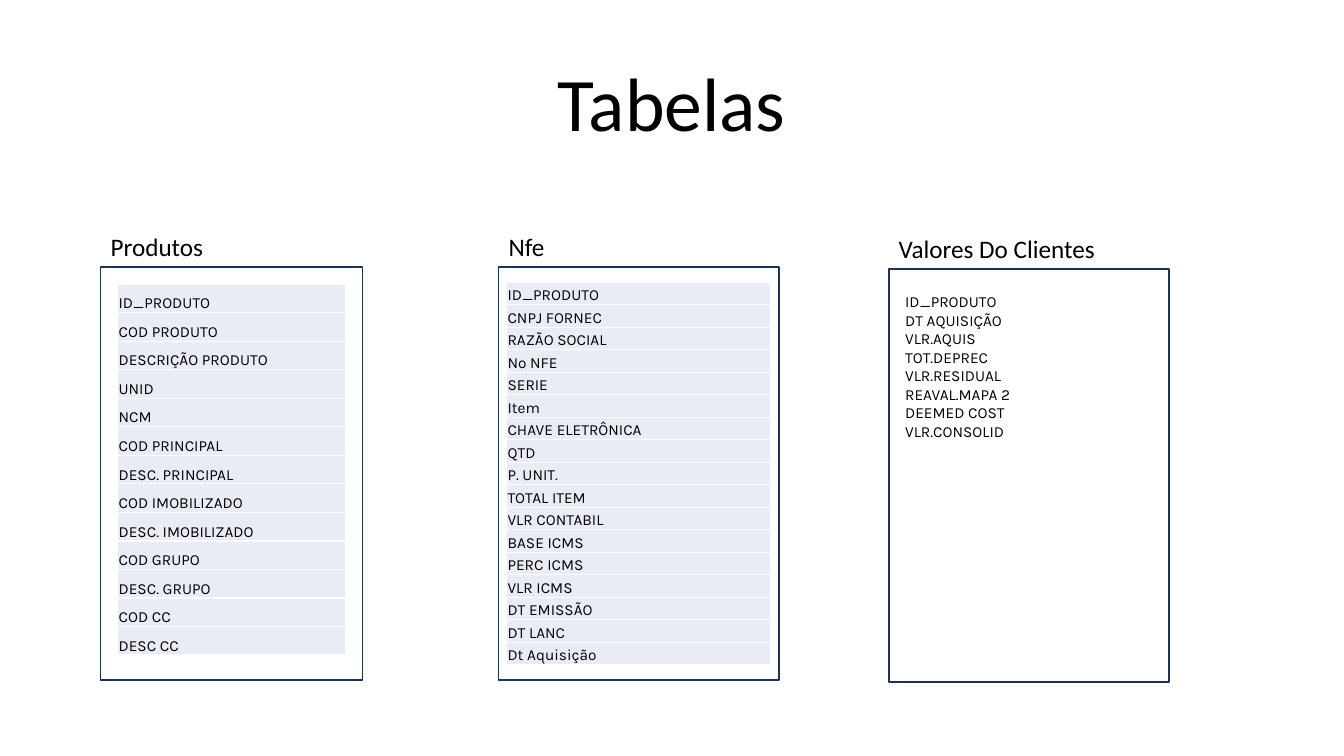
from dataclasses import dataclass

from lxml import etree
from pptx import Presentation
from pptx.dml.color import RGBColor
from pptx.enum.text import MSO_ANCHOR, PP_ALIGN
from pptx.enum.shapes import MSO_SHAPE
from pptx.oxml.ns import qn
from pptx.util import Cm, Pt

RECT = MSO_SHAPE.RECTANGLE
CENTER = PP_ALIGN.CENTER
TOP, BOTTOM = MSO_ANCHOR.TOP, MSO_ANCHOR.BOTTOM


@dataclass(frozen=True)
class Theme:
    text: str = "000000"
    frame: str = "1E3256"
    row: str = "E9EBF5"
    border: str = "FFFFFF"
    heading_font: str = "Calibri"
    field_font: str = "Karla"
    title_size: int = 54
    caption_size: int = 18
    field_size: int = 11
    line: int = 1


THEME = Theme()
CAPTION_HEIGHT = 1.02
CAPTION_WIDTH = 5.77

PRODUCT_FIELDS = [
    "ID_PRODUTO", "COD PRODUTO", "DESCRIÇÃO PRODUTO", "UNID", "NCM",
    "COD PRINCIPAL", "DESC. PRINCIPAL", "COD IMOBILIZADO",
    "DESC. IMOBILIZADO", "COD GRUPO", "DESC. GRUPO", "COD CC", "DESC CC",
]
INVOICE_FIELDS = [
    "ID_PRODUTO", "CNPJ FORNEC", "RAZÃO SOCIAL", "Nº NFE", "SERIE", "Item",
    "CHAVE ELETRÔNICA", "QTD", "P. UNIT.", "TOTAL ITEM", "VLR CONTABIL",
    "BASE ICMS", "PERC ICMS", "VLR ICMS", "DT EMISSÃO", "DT LANC",
    "Dt Aquisição",
]
VALUE_FIELDS = [
    "ID_PRODUTO", "DT AQUISIÇÃO", "VLR.AQUIS", "TOT.DEPREC", "VLR.RESIDUAL",
    "REAVAL.MAPA 2", "DEEMED COST", "VLR.CONSOLID",
]


def style_text(tf, font, size):
    for p in tf.paragraphs:
        for r in p.runs:
            r.font.name = font
            r.font.size = Pt(size)
            r.font.color.rgb = RGBColor.from_string(THEME.text)


def add_text(slide, box, text, font, size, anchor=TOP):
    sp = slide.shapes.add_textbox(*map(Cm, box))
    tf = sp.text_frame
    tf.word_wrap = True
    tf.vertical_anchor = anchor
    tf.text = text
    style_text(tf, font, size)
    return tf


def add_title(slide, box, text):
    tf = add_text(slide, box, text, THEME.heading_font, THEME.title_size, BOTTOM)
    p = tf.paragraphs[0]
    p.alignment = CENTER
    p.line_spacing = 0.9


def add_panel(slide, box, caption):
    left, top, _, _ = box
    sp = slide.shapes.add_shape(RECT, *map(Cm, box))
    sp.shadow.inherit = False
    sp.fill.background()
    sp.line.color.rgb = RGBColor.from_string(THEME.frame)
    sp.line.width = Pt(THEME.line)
    caption_box = (left, top - CAPTION_HEIGHT, CAPTION_WIDTH, CAPTION_HEIGHT)
    add_text(slide, caption_box, caption, THEME.heading_font, THEME.caption_size)


def set_borders(cell):
    tc_pr = cell._tc.get_or_add_tcPr()
    for side in ("a:lnL", "a:lnR", "a:lnT", "a:lnB"):
        ln = etree.SubElement(tc_pr, qn(side), w=str(Pt(THEME.line)))
        fill = etree.SubElement(ln, qn("a:solidFill"))
        etree.SubElement(fill, qn("a:srgbClr"), val=THEME.border)


def add_field_table(slide, box, fields):
    frame = slide.shapes.add_table(len(fields), 1, *map(Cm, box))
    table = frame.table
    table.first_row = False
    table.horz_banding = False
    for row, field in zip(table.rows, fields):
        row.height = Cm(box[3] / len(fields))
        cell = row.cells[0]
        cell.margin_left = cell.margin_right = cell.margin_top = Cm(0.02)
        cell.margin_bottom = 0
        cell.vertical_anchor = BOTTOM
        set_borders(cell)
        cell.fill.solid()
        cell.fill.fore_color.rgb = RGBColor.from_string(THEME.row)
        cell.text_frame.text = field
        style_text(cell.text_frame, THEME.field_font, THEME.field_size)


def add_table_panel(slide, box, caption, fields, inset_x, inset_y, height):
    left, top, width, _ = box
    add_panel(slide, box, caption)
    table_box = (left + inset_x, top + inset_y, width - 2 * inset_x, height)
    add_field_table(slide, table_box, fields)


def add_list_panel(slide, box, caption, fields):
    left, top, _, _ = box
    add_panel(slide, box, caption)
    list_box = (left + 0.16, top + 0.46, 6.22, 4.01)
    add_text(slide, list_box, "\n".join(fields), THEME.field_font, THEME.field_size)


def main():
    prs = Presentation()
    prs.slide_width, prs.slide_height = Cm(33.87), Cm(19.05)
    slide = prs.slides.add_slide(prs.slide_layouts[6])
    add_title(slide, (4.23, 1.47, 25.4, 2.39), "Tabelas")
    add_table_panel(slide, (2.54, 6.73, 6.6, 10.41), "Produtos",
                    PRODUCT_FIELDS, 0.43, 0.43, 9.35)
    add_table_panel(slide, (12.57, 6.73, 7.06, 10.41), "Nfe",
                    INVOICE_FIELDS, 0.2, 0.38, 9.65)
    add_list_panel(slide, (22.4, 6.78, 7.06, 10.41), "Valores Do Clientes",
                   VALUE_FIELDS)
    prs.save("out.pptx")


if __name__ == "__main__":
    main()
